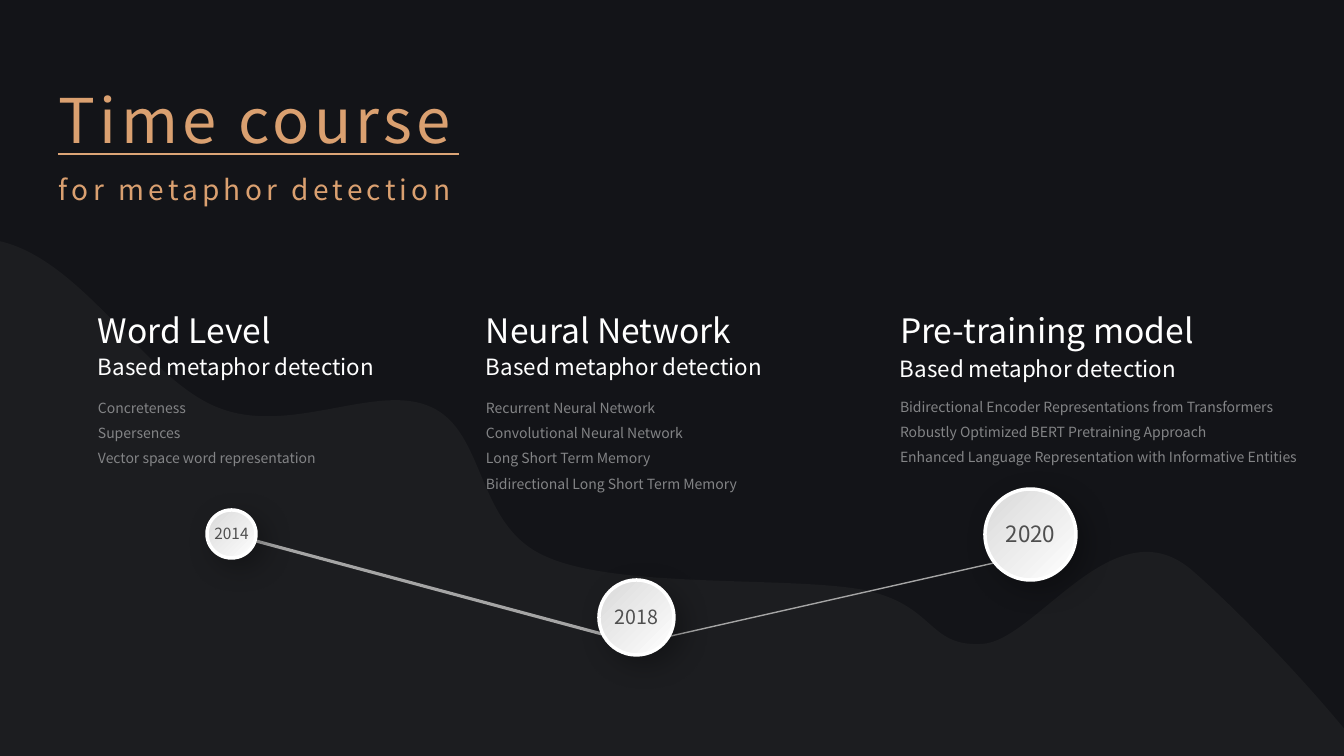
import math

import pptx
import pptx.dml.color
import pptx.enum.shapes
import pptx.enum.text
import pptx.oxml.ns
import pptx.util
from lxml import etree

WIDTH, HEIGHT = 1344, 756
SCALE = 12192000 / WIDTH
SANS_SC, SANS_JP = "Noto Sans CJK SC", "Noto Sans CJK JP"
GOLD, RULE, WHITE, GREY = "DAA070", "DCA577", "FFFFFF", "838486"

WAVE_BOX, WAVE_TURN = (-360, 150, 1839, 1041), 45
WAVE_START = (-298, 318)
WAVE_CURVES = [
    ((-382, 142), (-92, 225), (-6, 240)),
    ((81, 255), (145, 380), (219, 408)),
    ((291, 436), (377, 382), (431, 407)),
    ((487, 432), (475, 527), (547, 557)),
    ((619, 589), (791, 576), (864, 590)),
    ((936, 605), (927, 647), (982, 644)),
    ((1037, 641), (1115, 501), (1194, 572)),
    ((1274, 642), (1577, 950), (1461, 1069)),
    ((1344, 1188), (789, 1414), (497, 1288)),
    ((205, 1163), (-215, 492), WAVE_START),
]
SUBTITLE = "Based metaphor detection"
COLUMNS = [
    ((98, 300, 323), (46, 91), "Word Level",
     ["Concreteness", "Supersences", "Vector space word representation"]),
    ((486, 300, 323), (46, 91), "Neural Network",
     ["Recurrent Neural Network", "Convolutional Neural Network",
      "Long Short Term Memory", "Bidirectional Long Short Term Memory"]),
    ((900, 300, 411), (48, 90), "Pre-training model",
     ["Bidirectional Encoder Representations from Transformers",
      "Robustly Optimized BERT Pretraining Approach",
      "Enhanced Language Representation with Informative Entities"]),
]
LINKS = [((256, 541), (602, 634), 2.25), ((662, 638), (994, 563), 1)]
MILESTONES = [
    ("2014", (207, 510, 49, 48), 11),
    ("2018", (599, 580, 75, 75), 14),
    ("2020", (985, 489, 91, 91), 16),
]


def px(length):
    """Turn pixels into EMU."""
    return pptx.util.Emu(round(length * SCALE))


def color(value):
    """Turn a hex string into a colour."""
    return pptx.dml.color.RGBColor.from_string(value)


def add_element(parent, tag, **attributes):
    """Append a drawing element to its parent."""
    return etree.SubElement(parent, pptx.oxml.ns.qn(tag), **attributes)


def format_paragraph(paragraph, size, font_name, font_color, spacing):
    """Apply line spacing and font to one paragraph."""
    paragraph.line_spacing = spacing
    for run in paragraph.runs:
        run.font.size = pptx.util.Pt(size)
        run.font.name = font_name
        run.font.color.rgb = color(font_color)


def clear_margins(text_frame):
    """Remove the insets of a text frame."""
    text_frame.margin_left = text_frame.margin_right = 0
    text_frame.margin_top = text_frame.margin_bottom = 0


def add_text(slide, box, lines, sizes, font_name, font_color, spacing, wrap=True):
    """Add a text box with one paragraph for each line."""
    shape = slide.shapes.add_textbox(*map(px, box))
    text_frame = shape.text_frame
    clear_margins(text_frame)
    text_frame.word_wrap = wrap
    text_frame.text = "\n".join(lines)
    for paragraph, size in zip(text_frame.paragraphs, sizes):
        format_paragraph(paragraph, size, font_name, font_color, spacing)
    return shape


def add_line(slide, start, end, line_color, weight):
    """Add a straight line without shadow."""
    connector = slide.shapes.add_connector(
        pptx.enum.shapes.MSO_CONNECTOR.STRAIGHT, *map(px, start + end))
    connector.line.color.rgb = color(line_color)
    connector.line.width = pptx.util.Pt(weight)
    add_element(connector._element.spPr, "a:effectLst")


def add_wave(slide, box):
    """Add the turned wave that fills the lower part of the slide."""
    left, top, width, height = box
    right, bottom = left + width, top + height
    builder = slide.shapes.build_freeform(px(left), px(top))
    corners = [(right, top), (right, bottom), (left, bottom)]
    builder.add_line_segments([(px(x), px(y)) for x, y in corners])
    wave = builder.convert_to_shape()
    outline = wave._element.spPr.find(".//" + pptx.oxml.ns.qn("a:path"))
    for segment in list(outline):
        outline.remove(segment)
    cosine = math.cos(math.radians(WAVE_TURN))
    sine = math.sin(math.radians(WAVE_TURN))

    def add_segment(tag, points):
        """Append a segment, turned back into the frame of the wave."""
        segment = add_element(outline, tag)
        for x, y in points:
            dx, dy = x - left - width / 2, y - top - height / 2
            add_element(segment, "a:pt",
                        x=str(px(width / 2 + dx * cosine + dy * sine)),
                        y=str(px(height / 2 + dy * cosine - dx * sine)))

    add_segment("a:moveTo", [WAVE_START])
    for curve in WAVE_CURVES:
        add_segment("a:cubicBezTo", curve)
    add_element(outline, "a:close")
    wave.rotation = WAVE_TURN
    wave.shadow.inherit = False
    wave.fill.solid()
    wave.fill.fore_color.rgb = color("1C1D20")
    wave.line.fill.background()


def add_title(slide, box):
    """Add the two title lines and the rule between them."""
    left, top, width, height = box
    shape = add_text(slide, box, ["Time course", "for metaphor detection"],
                     (44, 20), SANS_SC, GOLD, 1.5, wrap=False)
    shape.text_frame.margin_right = px(10)
    for paragraph in shape.text_frame.paragraphs:
        for run in paragraph.runs:
            run.font._element.set("spc", "300")
    rule_y = top + 109
    add_line(slide, (left - 1, rule_y), (left + 400, rule_y), RULE, 1.5)


def add_column(slide, box, offsets, heading, methods):
    """Add a heading, a subtitle and a list of methods."""
    left, top, width = box
    subtitle_offset, list_offset = offsets
    add_text(slide, (left, top, width, 46), [heading], [24], SANS_JP, WHITE, 1.25)
    add_text(slide, (left, top + subtitle_offset, 300, 31), [SUBTITLE],
             [16], SANS_JP, WHITE, 1.25)
    add_text(slide, (left, top + list_offset, width, 25 * len(methods)), methods,
             [10] * len(methods), SANS_SC, GREY, 1.5)


def add_milestone(slide, year, box, size):
    """Add a shaded circle that holds a year."""
    circle = slide.shapes.add_shape(
        pptx.enum.shapes.MSO_SHAPE.OVAL, *map(px, box))
    circle.fill.gradient()
    circle.fill.gradient_angle = 315
    for stop, value in zip(circle.fill.gradient_stops, ("D9D9D9", WHITE)):
        stop.color.rgb = color(value)
    circle.line.color.rgb = color(WHITE)
    circle.line.width = pptx.util.Pt(2.5)
    circle.shadow.inherit = False
    effects = circle._element.spPr.find(pptx.oxml.ns.qn("a:effectLst"))
    shadow = add_element(
        effects, "a:outerShdw", blurRad=str(pptx.util.Pt(20)),
        dist=str(pptx.util.Pt(8)), dir="2700000", algn="tl", rotWithShape="0")
    shade = add_element(shadow, "a:srgbClr", val="000000")
    add_element(shade, "a:alpha", val="30000")
    text_frame = circle.text_frame
    clear_margins(text_frame)
    text_frame.margin_bottom = px(2)
    text_frame.word_wrap = False
    text_frame.vertical_anchor = pptx.enum.text.MSO_ANCHOR.MIDDLE
    text_frame.text = year
    paragraph = text_frame.paragraphs[0]
    paragraph.alignment = pptx.enum.text.PP_ALIGN.CENTER
    format_paragraph(paragraph, size, SANS_SC, "4F4F4F", 1.0)


def main():
    """Build and save the slide."""
    presentation = pptx.Presentation()
    presentation.slide_width, presentation.slide_height = px(WIDTH), px(HEIGHT)
    slide = presentation.slides.add_slide(presentation.slide_layouts[6])
    slide.background.fill.solid()
    slide.background.fill.fore_color.rgb = color("131418")
    add_wave(slide, WAVE_BOX)
    add_title(slide, (59, 45, 442, 157))
    for column in COLUMNS:
        add_column(slide, *column)
    for start, end, weight in LINKS:
        add_line(slide, start, end, "A5A5A5", weight)
    for milestone in MILESTONES:
        add_milestone(slide, *milestone)
    presentation.save("out.pptx")


if __name__ == "__main__":
    main()
